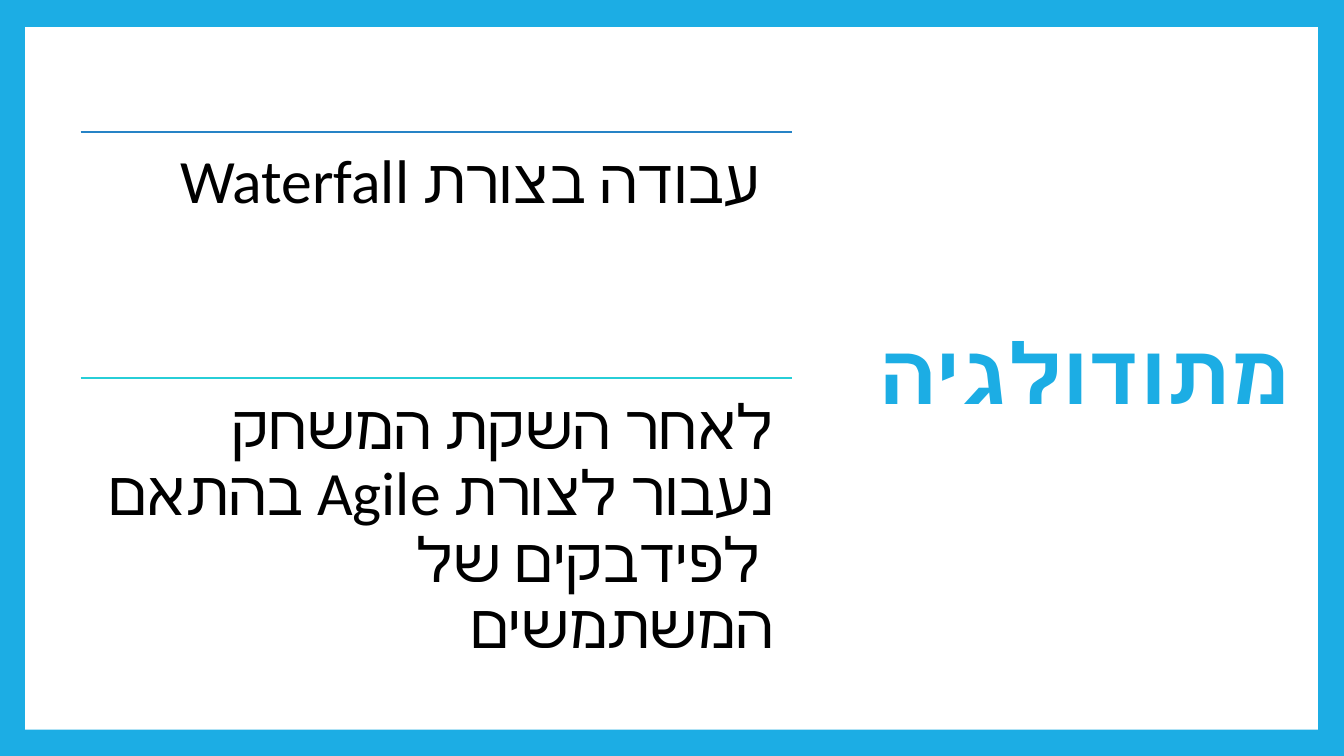
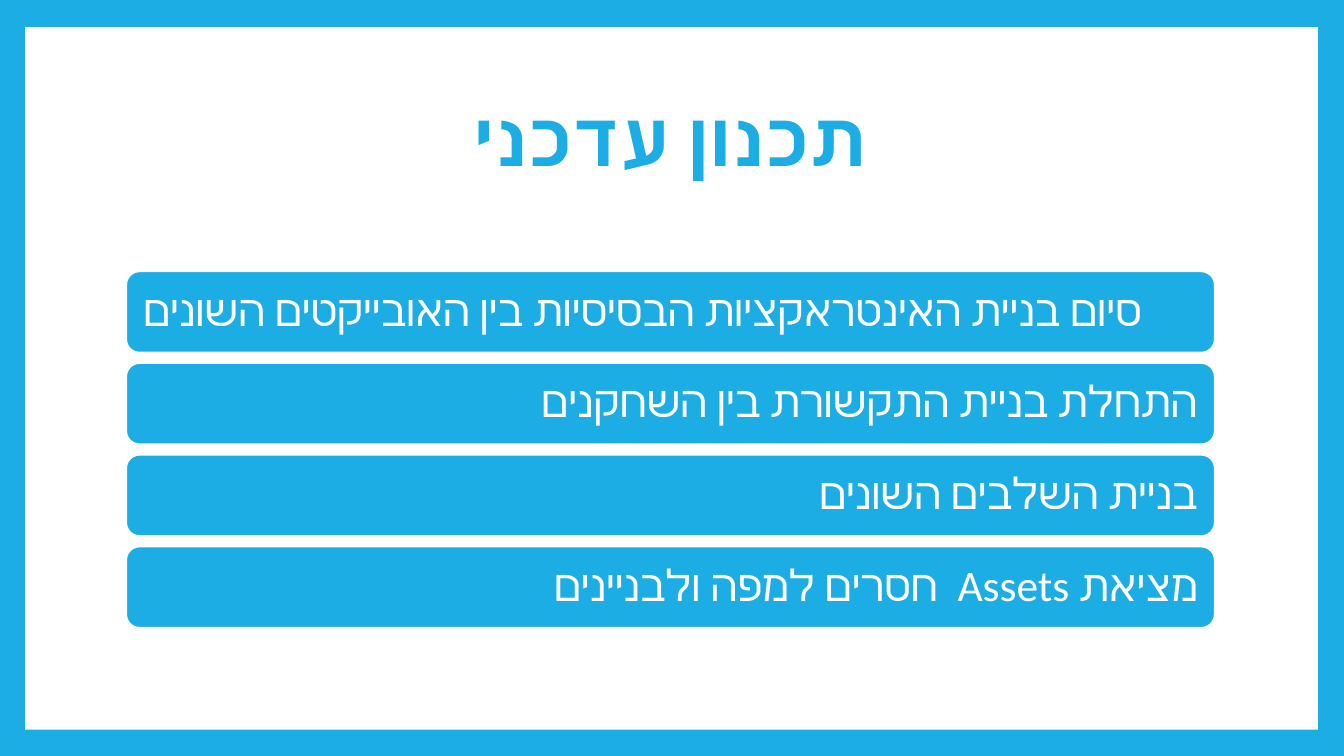
import pptx
import pptx.util
import pptx.dml.color
import pptx.enum.shapes
import pptx.enum.text
import pptx.oxml.ns
from dataclasses import dataclass
from lxml import etree

Inches = pptx.util.Inches
Align = pptx.enum.text.PP_ALIGN
Anchor = pptx.enum.text.MSO_ANCHOR
Shape = pptx.enum.shapes.MSO_SHAPE
qn = pptx.oxml.ns.qn


def rgb(value):
    return pptx.dml.color.RGBColor.from_string(value)


@dataclass(frozen=True)
class Theme:
    width: float = 13.33
    height: float = 7.5
    font: str = "Calibri"
    accent: str = "1CADE4"
    paper: str = "FFFFFF"
    ink: str = "000000"
    rules: tuple = ("2683C6", "27CED7")
    rule_width: float = 1.5
    side_title: int = 60
    top_title: int = 54
    section: int = 44
    bar: int = 31
    line_spacing: float = 0.9


THEME = Theme()


@dataclass(frozen=True)
class Box:
    left: float
    top: float
    width: float
    height: float

    def emu(self):
        return [Inches(v) for v in (self.left, self.top, self.width, self.height)]

    def rows(self, count, gap=0.0):
        """Split into equal rows with equal gaps."""
        height = (self.height - gap * (count - 1)) / count
        return [Box(self.left, self.top + i * (height + gap), self.width, height)
                for i in range(count)]


# Text shared by titles, sections and bars
def write(shape, text, size, color, align, anchor, inset=None,
          rtl=True, bold=False):
    frame = shape.text_frame
    frame.word_wrap = True
    frame.auto_size = pptx.enum.text.MSO_AUTO_SIZE.NONE
    frame.vertical_anchor = anchor
    if inset is not None:
        frame.margin_left = frame.margin_right = Inches(inset)
        frame.margin_top = frame.margin_bottom = Inches(inset)
    para = frame.paragraphs[0]
    para.text = text
    para.alignment = align
    para.line_spacing = THEME.line_spacing
    font = para.font
    font.size = pptx.util.Pt(size)
    font.bold = bold
    font.color.rgb = rgb(color)
    font.name = THEME.font
    # Hebrew takes the complex-script font and the paragraph direction
    properties = para._p.get_or_add_pPr()
    properties.set("rtl", "1" if rtl else "0")
    defaults = properties.find(qn("a:defRPr"))
    etree.SubElement(defaults, qn("a:cs")).set("typeface", THEME.font)


def fill_solid(shape, color):
    shape.shadow.inherit = False
    shape.fill.solid()
    shape.fill.fore_color.rgb = rgb(color)


# Blue frame around a white sheet, kept on the master
def frame_master(deck, page):
    master = deck.slide_master
    master.background.fill.solid()
    master.background.fill.fore_color.rgb = rgb(THEME.accent)
    sheet = page.shapes.add_shape(
        Shape.RECTANGLE, *Box(0.25, 0.27, 12.82, 6.97).emu())
    fill_solid(sheet, THEME.paper)
    sheet.line.fill.background()
    master.shapes._spTree.insert(2, sheet._element)


def place_title(page, box, text, size, align):
    title = page.shapes.title
    title.left, title.top, title.width, title.height = box.emu()
    write(title, text, size, THEME.accent, align, Anchor.MIDDLE, bold=True)


# Sections, each under a coloured rule
def ruled_sections(page, box, texts):
    for row, text, color in zip(box.rows(len(texts)), texts, THEME.rules):
        left, top, width, height = row.emu()
        rule = page.shapes.add_connector(
            pptx.enum.shapes.MSO_CONNECTOR.STRAIGHT, left, top, left + width, top)
        rule.line.color.rgb = rgb(color)
        rule.line.width = pptx.util.Pt(THEME.rule_width)
        etree.SubElement(rule._element.spPr, qn("a:effectLst"))
        section = page.shapes.add_textbox(left, top, width, height)
        write(section, text, THEME.section, THEME.ink, Align.RIGHT,
              Anchor.TOP, inset=0.18)


# Stack of rounded bars
def bar_list(page, box, items):
    for row, (text, align, rtl) in zip(box.rows(len(items), gap=0.1), items):
        bar = page.shapes.add_shape(Shape.ROUNDED_RECTANGLE, *row.emu())
        fill_solid(bar, THEME.accent)
        bar.line.color.rgb = rgb(THEME.paper)
        bar.line.width = pptx.util.Pt(THEME.rule_width)
        write(bar, text, THEME.bar, THEME.paper, align, Anchor.MIDDLE,
              inset=0.13, rtl=rtl)


def methodology_slide(page):
    place_title(page, Box(8.57, 0.68, 4.32, 6.13), "מתודולגיה",
                THEME.side_title, Align.RIGHT)
    ruled_sections(page, Box(0.8, 1.31, 7.06, 4.88), [
        " עבודה בצורת Waterfall",
        "לאחר השקת המשחק נעבור לצורת Agile בהתאם  לפידבקים של המשתמשים",
    ])


def plan_slide(page):
    place_title(page, Box(1.25, 0.67, 10.8, 1.48), "תכנון עדכני",
                THEME.top_title, Align.CENTER)
    bar_list(page, Box(1.25, 2.69, 10.8, 3.54), [
        ("סיום בניית האינטראקציות הבסיסיות בין האובייקטים השונים", Align.LEFT, False),
        ("התחלת בניית התקשורת בין השחקנים", Align.RIGHT, False),
        ("בניית השלבים השונים", Align.RIGHT, False),
        ("מציאת Assets  חסרים למפה ולבניינים", Align.RIGHT, True),
    ])


def main():
    deck = pptx.Presentation()
    deck.slide_width = Inches(THEME.width)
    deck.slide_height = Inches(THEME.height)
    title_only = deck.slide_layouts.get_by_name("Title Only")
    pages = [deck.slides.add_slide(title_only) for _ in range(2)]
    frame_master(deck, pages[0])
    for page, build in zip(pages, (methodology_slide, plan_slide)):
        build(page)
    deck.save("out.pptx")


if __name__ == "__main__":
    main()
